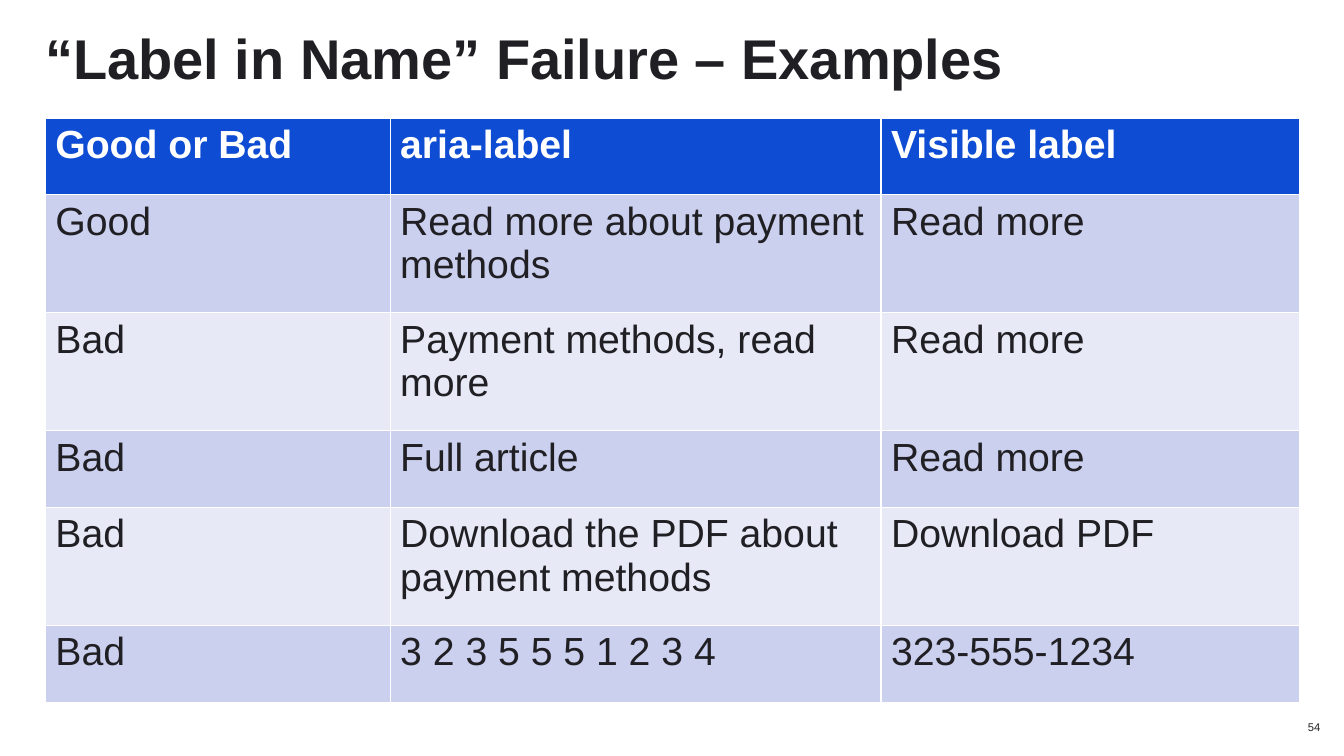
from dataclasses import dataclass

from pptx import Presentation
from pptx.dml.color import RGBColor as RGB
from pptx.enum.text import MSO_ANCHOR as ANCHOR, MSO_AUTO_SIZE as AUTO, PP_ALIGN as ALIGN
from pptx.util import Pt


@dataclass(frozen=True)
class Theme:
    font: str = "Arial"
    ink: str = "202024"
    white: str = "FFFFFF"
    header: str = "0D4CD3"
    bands: tuple = ("CCD0EF", "E7E9F7")
    title_size: int = 40
    cell_size: int = 28
    number_size: int = 8


THEME = Theme()
SLIDE_W, SLIDE_H = 960, 540
MARGIN = 32.4
CONTENT_W = 895.7
COL_WIDTHS = (246.3, 350.6, 298.8)
LINE_ROW, WRAPPED_ROW = 54.8, 84.3
ROWS = (
    (LINE_ROW, ("Good or Bad", "aria-label", "Visible label")),
    (WRAPPED_ROW, ("Good", "Read more about payment methods", "Read more")),
    (WRAPPED_ROW, ("Bad", "Payment methods, read more", "Read more")),
    (LINE_ROW, ("Bad", "Full article", "Read more")),
    (WRAPPED_ROW, ("Bad", "Download the PDF about payment methods", "Download PDF")),
    (LINE_ROW, ("Bad", "3 2 3 5 5 5 1 2 3 4", "323-555-1234")),
)


def style_paragraph(p, size, color, bold=False, align=ALIGN.LEFT):
    p.alignment = align
    p.font.name = THEME.font
    p.font.size = Pt(size)
    p.font.bold = bold
    p.font.color.rgb = RGB.from_string(color)


def set_frame(tf, text):
    tf.text = text
    tf.word_wrap = True
    tf.auto_size = AUTO.NONE
    tf.vertical_anchor = ANCHOR.MIDDLE
    tf.margin_left = tf.margin_top = tf.margin_right = tf.margin_bottom = 0
    return tf.paragraphs[0]


def place_title(slide, box, text):
    sp = slide.shapes.title
    sp.left, sp.top, sp.width, sp.height = map(Pt, box)
    p = set_frame(sp.text_frame, text)
    style_paragraph(p, THEME.title_size, THEME.ink, bold=True)


def add_examples(slide, box, rows, col_widths):
    frame = slide.shapes.add_table(len(rows), len(col_widths), *map(Pt, box))
    table = frame.table
    for col, width in zip(table.columns, col_widths):
        col.width = Pt(width)
    for i, (height, texts) in enumerate(rows):
        is_header = i == 0
        fill = THEME.header if is_header else THEME.bands[(i - 1) % 2]
        color = THEME.white if is_header else THEME.ink
        table.rows[i].height = Pt(height)
        for cell, text in zip(table.rows[i].cells, texts):
            cell.text = text
            cell.fill.solid()
            cell.fill.fore_color.rgb = RGB.from_string(fill)
            p = cell.text_frame.paragraphs[0]
            style_paragraph(p, THEME.cell_size, color, bold=is_header)


def add_page_number(slide, box, number):
    sp = slide.shapes.add_textbox(*map(Pt, box))
    p = set_frame(sp.text_frame, str(number))
    style_paragraph(p, THEME.number_size, THEME.ink, align=ALIGN.CENTER)


def main():
    prs = Presentation()
    prs.slide_width, prs.slide_height = Pt(SLIDE_W), Pt(SLIDE_H)
    slide = prs.slides.add_slide(prs.slide_layouts[5])
    place_title(slide, (MARGIN, 12.2, CONTENT_W, 56.9),
                "“Label in Name” Failure – Examples")
    table_h = sum(height for height, _ in ROWS)
    add_examples(slide, (MARGIN, 84.3, CONTENT_W, table_h), ROWS, COL_WIDTHS)
    number_w, number_h = 42.5, 41
    add_page_number(slide, (SLIDE_W - number_w, SLIDE_H - number_h,
                            number_w, number_h), 54)
    prs.save("out.pptx")


if __name__ == "__main__":
    main()
